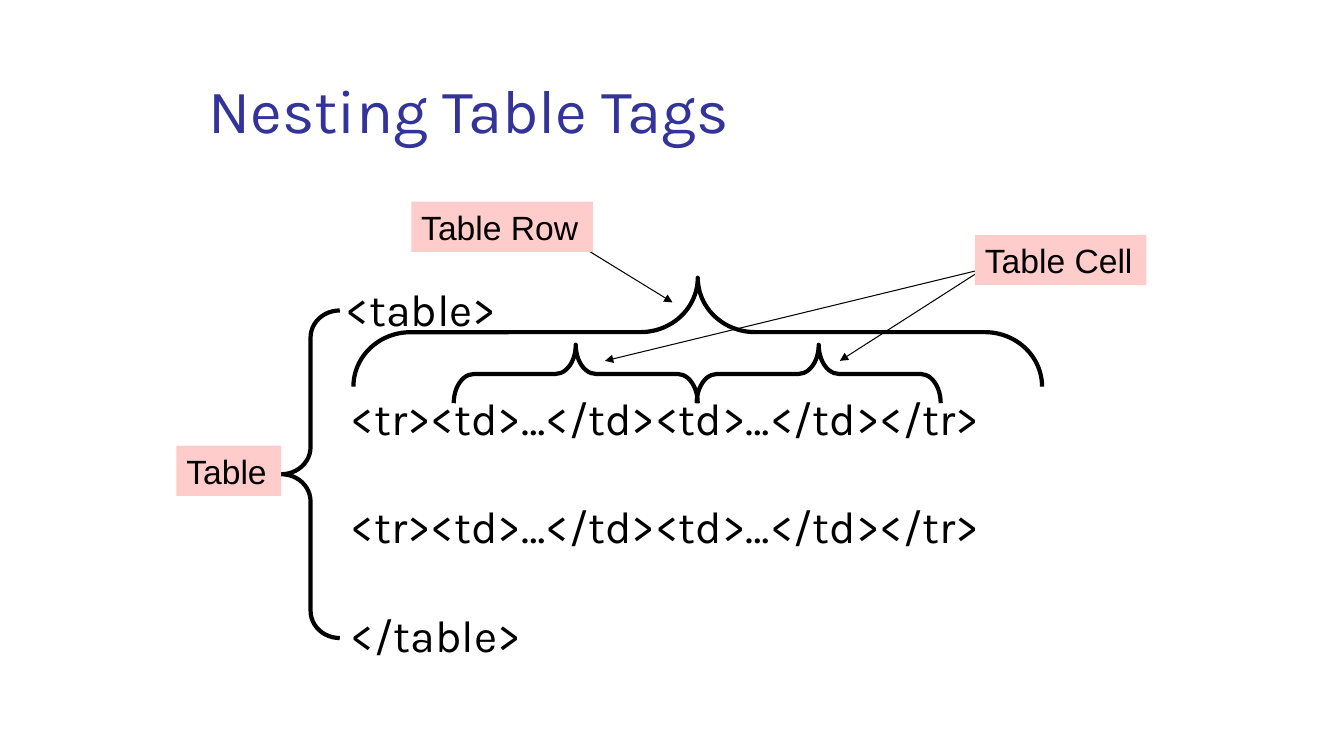
"""Build a slide that shows how HTML table tags nest."""
from lxml import etree
from pptx import Presentation
from pptx.dml.color import RGBColor
from pptx.enum import shapes, text
from pptx.oxml import ns
from pptx.util import Inches, Pt

BLACK = RGBColor(0x00, 0x00, 0x00)
INDIGO = RGBColor(0x33, 0x33, 0x99)
PINK = RGBColor(0xFF, 0xCC, 0xCC)
ROW_TAGS = "<tr><td>…</td><td>…</td></tr>"
CODE_LINES = ["<table>", ROW_TAGS, ROW_TAGS, "</table>"]


def style(para, font_name, size, color):
    """Set the font of a whole paragraph."""
    para.font.name = font_name
    para.font.size = Pt(size)
    para.font.color.rgb = color


def add_title(page, wording):
    """Add the slide title, resting on the bottom of its box."""
    box = page.shapes.add_textbox(Inches(1.97), Inches(0.25), Inches(11.36), Inches(1.25))
    frame = box.text_frame
    frame.word_wrap = True
    frame.vertical_anchor = text.MSO_ANCHOR.BOTTOM
    frame.text = wording
    style(frame.paragraphs[0], "Karla", 44, INDIGO)


def add_code(page, lines):
    """Add the markup, one widely spaced paragraph a line."""
    box = page.shapes.add_textbox(Inches(3), Inches(2.75), Inches(8.5), Inches(4))
    frame = box.text_frame
    frame.word_wrap = True
    frame.text = "\n".join(lines)
    for index, para in enumerate(frame.paragraphs):
        style(para, "Karla", 32, BLACK)
        para.space_before = Pt(39 if index else 6.4)
        properties = para._p.get_or_add_pPr()
        properties.set("marL", str(Inches(0.38)))
        properties.set("indent", str(0 if index else Inches(-0.05)))


def add_brace(page, left, top, width, height, curve, rotation=0):
    """Add a thick left brace, turned by the given angle."""
    brace = page.shapes.add_shape(
        shapes.MSO_SHAPE.LEFT_BRACE, Inches(left), Inches(top), Inches(width), Inches(height))
    brace.adjustments[0] = curve
    brace.rotation = rotation
    brace.shadow.inherit = False
    brace.fill.background()
    brace.line.color.rgb = BLACK
    brace.line.width = Pt(3)


def add_arrow(page, start, end):
    """Add a thin arrow from one point to another."""
    arrow = page.shapes.add_connector(
        shapes.MSO_CONNECTOR.STRAIGHT, *map(Inches, start), *map(Inches, end))
    arrow.line.color.rgb = BLACK
    arrow.line.width = Pt(0.75)
    etree.SubElement(arrow.line._get_or_add_ln(), ns.qn("a:tailEnd"), type="triangle")
    etree.SubElement(arrow._element.spPr, ns.qn("a:effectLst"))


def add_label(page, wording, left, top, width):
    """Add a pink label."""
    box = page.shapes.add_textbox(Inches(left), Inches(top), Inches(width), Inches(0.5))
    box.fill.solid()
    box.fill.fore_color.rgb = PINK
    frame = box.text_frame
    frame.word_wrap = False
    frame.auto_size = text.MSO_AUTO_SIZE.SHAPE_TO_FIT_TEXT
    frame.text = wording
    style(frame.paragraphs[0], "Arial", 24, BLACK)


def main():
    """Build and save the slide."""
    deck = Presentation()
    deck.slide_width, deck.slide_height = Inches(13.33), Inches(7.5)
    page = deck.slides.add_slide(deck.slide_layouts[6])
    add_title(page, "Nesting Table Tags")
    add_code(page, CODE_LINES)
    add_brace(page, 2.79, 3.08, 0.58, 3.25, 0.464)
    add_brace(page, 6.38, -0.12, 1.08, 6.83, 0.526, 90)
    for cell_left in (5.42, 7.83):
        add_brace(page, cell_left, 2.5, 0.58, 2.42, 0.345, 90)
    for cell_tip in (8.33, 6):
        add_arrow(page, (9.75, 2.67), (cell_tip, 3.58))
    add_arrow(page, (5.58, 2.33), (6.67, 3))
    add_label(page, "Table Cell", 9.67, 2.33, 1.7)
    add_label(page, "Table", 1.75, 4.42, 1.04)
    add_label(page, "Table Row", 4.08, 2, 1.8)
    deck.save("out.pptx")


if __name__ == "__main__":
    main()
